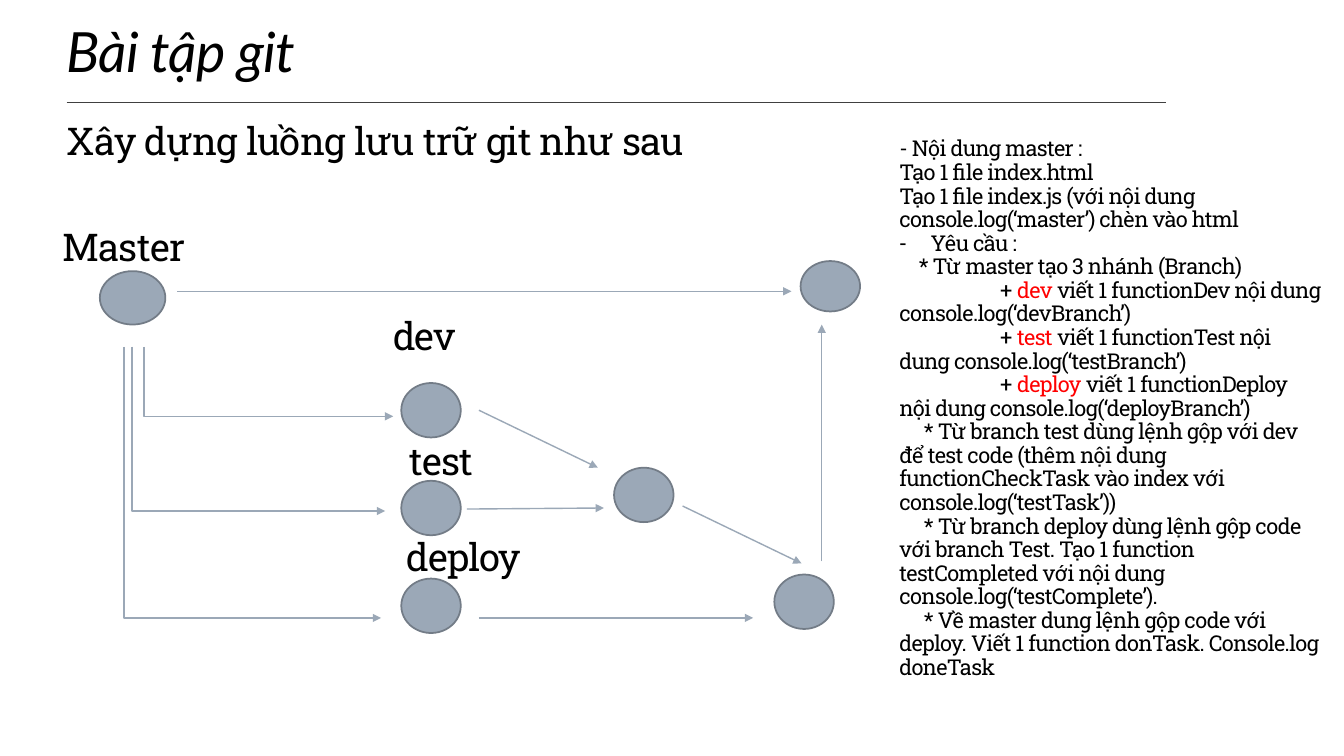
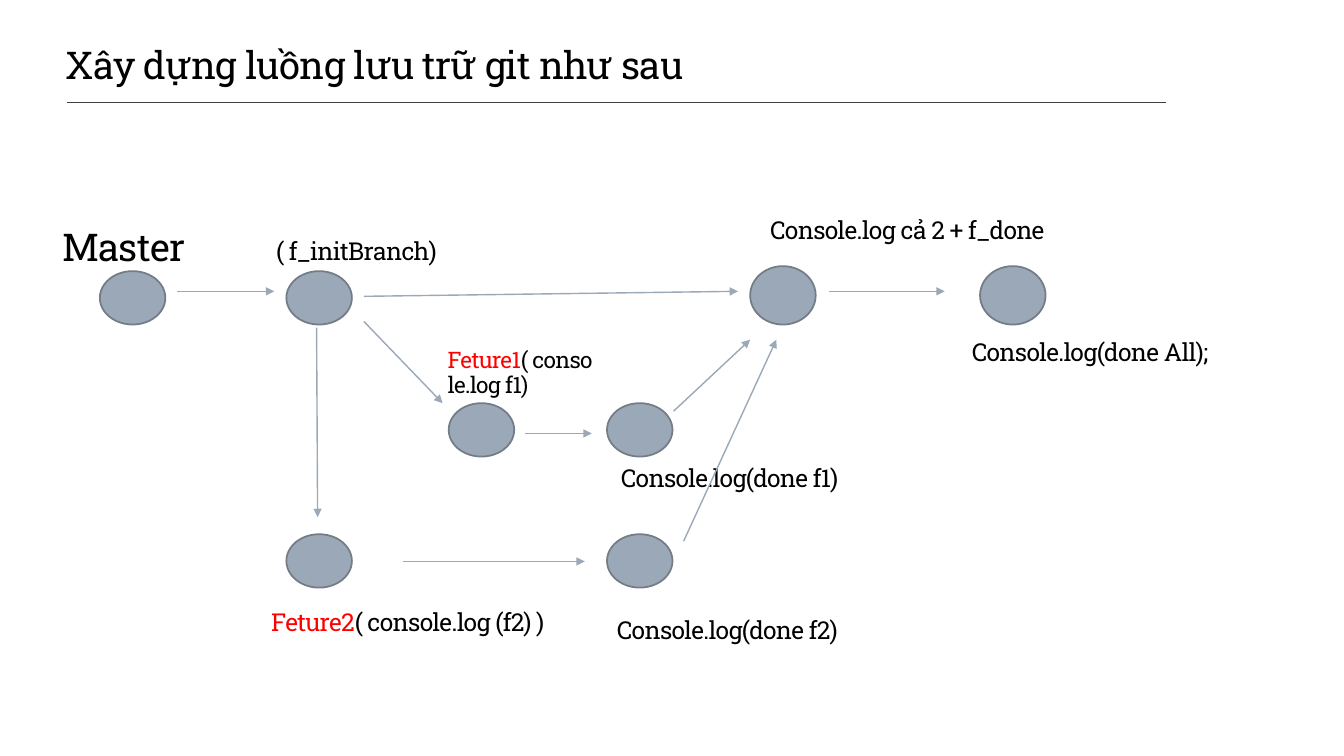
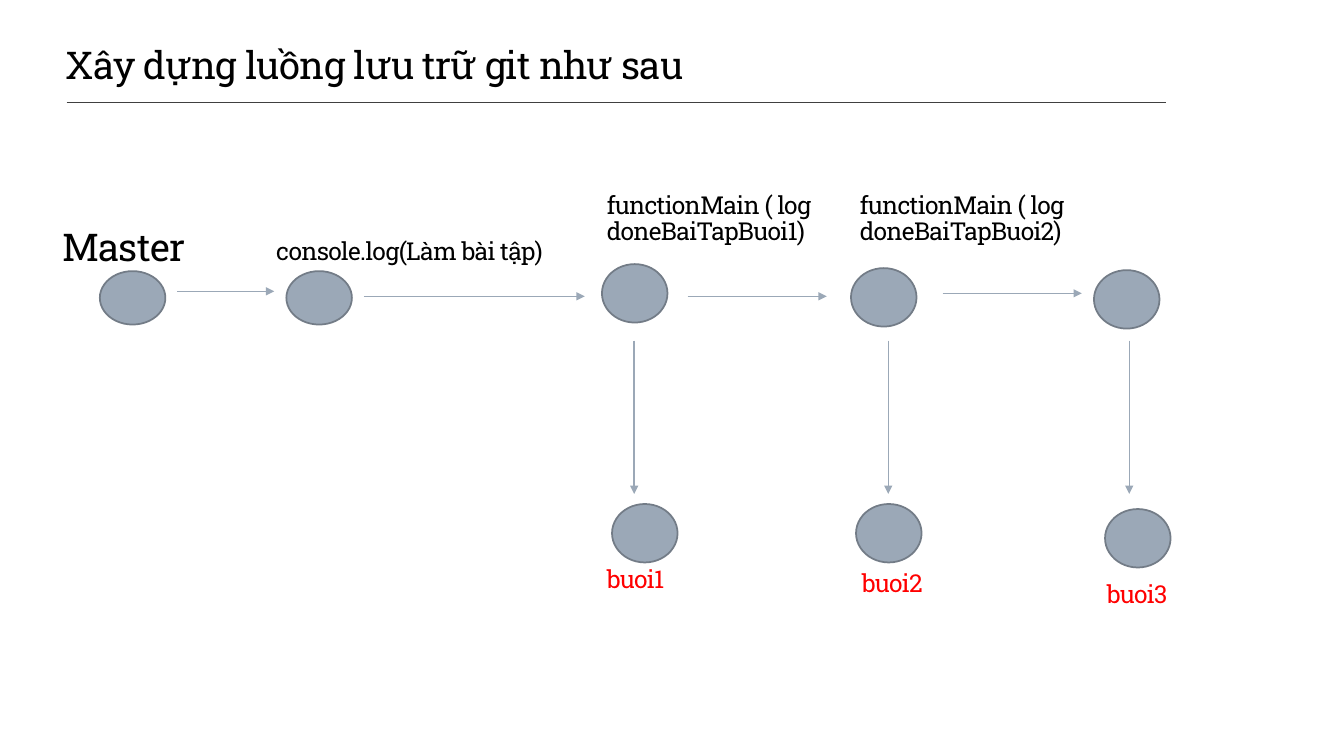
from lxml.etree import SubElement as Sub
from pptx import Presentation
from pptx.dml.color import RGBColor as RGB
from pptx.enum.shapes import MSO_CONNECTOR as LINK, MSO_SHAPE as SHAPE
from pptx.enum.text import MSO_ANCHOR as ANCHOR, MSO_AUTO_SIZE as FIT, PP_ALIGN as ALIGN
from pptx.oxml.ns import qn
from pptx.util import Inches, Pt

INK = {name: RGB.from_string(code) for name, code in {
    "text": "000000", "mark": "FF0000", "rule": "404040",
    "node": "9BA8B7", "edge": "737C87"}.items()}
SLAB, SANS = "Roboto Slab", "Lato"
BIG, MID, LOW = 27.3, 17.6, 15.6

prs = Presentation()
prs.slide_width, prs.slide_height = Inches(13.33), Inches(7.5)
CELL = prs.slide_height // 75  # square grid cells, 75 rows high


def write(box, at, texts, size, font=SLAB, slant=False, anchor=ANCHOR.BOTTOM):
    """Place a box and fill it; parts between bars are marked in red."""
    box.left, box.top, box.width, box.height = [int(n * CELL) for n in at]
    frame = box.text_frame
    frame.word_wrap, frame.auto_size = True, FIT.NONE
    frame.vertical_anchor = anchor
    for i, text in enumerate(texts):
        par = frame.add_paragraph() if i else frame.paragraphs[0]
        par.alignment, par.line_spacing = ALIGN.LEFT, 0.9
        par.space_before = Pt(0)
        par.font.size, par.font.name, par.font.italic = Pt(size), font, slant
        par.font.color.rgb = INK["text"]
        par._p.pPr.find(qn("a:defRPr")).set("spc", "-50")
        for k, part in enumerate(text.split("|")):
            if part:
                run = par.add_run()
                run.text = part
                if k % 2:
                    run.font.color.rgb = INK["mark"]


def link(page, ends, kind=LINK.STRAIGHT, ink="node", head=True):
    """Draw a line; an elbow runs down first, then across."""
    line = page.shapes.add_connector(kind, *[int(n * CELL) for n in ends])
    line.line.color.rgb, line.line.width = INK[ink], Pt(1)
    prop = line._element.spPr
    Sub(prop, qn("a:effectLst"))
    if head:
        Sub(prop.find(qn("a:ln")), qn("a:tailEnd"), type="triangle")
    if kind == LINK.ELBOW:
        Sub(prop.find(".//" + qn("a:avLst")), qn("a:gd"), name="adj1", fmla="val 0")
    return line


# Content: nodes are grouped by size, labels are (x, y, width, size, text)
TASK = "Xây dựng luồng lưu trữ git như sau"
HEAD = dict(at=(5.5, 2, 104.9, 7.2), texts=[TASK], size=BIG)
drops = [62.9, 88.1, 112]

decks = [
    dict(
        layout=1,
        title=dict(at=(5.6, 1.7, 104.9, 7.2), texts=["Bài tập git"],
                   size=39.6, font=SANS, slant=True),
        nodes={(5.9, 5.4): [(39.8, 38), (39.8, 47.7), (39.8, 57.4),
                            (60.9, 46.4), (76.8, 57)],
               (5.9, 5): [(79.4, 25.9)]},
        labels=[(5.6, 9.5, 104.9, BIG, TASK),
                (38, 28.9, 15.8, BIG, "dev"),
                (39.6, 41.3, 15.8, BIG, "test"),
                (39.3, 50.8, 15.8, BIG, "deploy")],
        elbows=[(14.3, 34.4, 39, 41.3), (13.1, 34.4, 38.2, 50.7),
                (12.3, 34.4, 37.8, 61.3)],
        links=[(47.5, 61.3, 74.7, 61.3), (46.3, 50.5, 59.9, 50.4),
               (47.5, 40.7, 59.3, 46.4), (67.7, 50.2, 79.5, 55.9),
               (81.5, 55.7, 81.5, 32.2), (17.6, 28.9, 78.5, 28.9)]),
    dict(
        layout=5, title=HEAD,
        nodes={(6.5, 5.3): [(28.4, 26.9), (44.5, 40), (28.4, 53),
                            (60.2, 53), (60.2, 40)],
               (6.5, 5.8): [(74.4, 26.4), (97.2, 26.4)]},
        labels=[(26.4, 19.7, 32.1, MID, "( f_initBranch)"),
                (25.9, 56.5, 32.1, MID, "|Feture2|( console.log (f2) )"),
                (43.4, 32.8, 16.8, 16.2, "|Feture1|(\u00a0console.log f1)"),
                (60.2, 57.3, 32.1, MID, "Console.log(done f2)"),
                (60.6, 42.2, 32.1, MID, "Console.log(done f1)"),
                (75.4, 17.6, 32.1, MID, "Console.log cả 2 + f_done"),
                (95.4, 29.7, 32.1, MID, "Console.log(done All);")],
        elbows=[],
        links=[(17.6, 28.9, 27.2, 28.9), (31.4, 32.5, 31.5, 51.3),
               (36.1, 31.9, 43.9, 40), (40, 55.7, 58, 55.7),
               (52.1, 43, 58.7, 43), (36.1, 29.4, 73.2, 28.9),
               (67.8, 53.7, 77, 33.7), (66.8, 40.8, 74.4, 33.7),
               (82.2, 28.9, 93.7, 28.9)]),
    dict(
        layout=5, title=HEAD,
        nodes={(6.5, 5.3): [(28.4, 26.9)],
               (6.5, 5.8): [(59.7, 26.2), (60.7, 50), (84.4, 26.6),
                            (84.9, 50), (108.5, 26.8), (109.6, 50.5)]},
        labels=[(26.4, 19.7, 32.1, MID, "console.log(Làm bài tập)"),
                (59.2, 17.7, 32.1, MID, "functionMain ( log doneBaiTapBuoi1)"),
                (84.3, 17.7, 32.1, MID, "functionMain ( log doneBaiTapBuoi2)"),
                (59.2, 52.2, 20, MID, "|buoi1"),
                (84.5, 52.6, 20, MID, "|buoi2"),
                (108.8, 53.7, 20, MID, "|buoi3")],
        elbows=[],
        links=[(17.6, 28.9, 27.2, 28.9), (36.1, 29.4, 58, 29.4),
               (68.2, 29.4, 82, 29.4), (93.5, 29.1, 107.3, 29.1)]
        + [(x, 33.8, x, 49) for x in drops]),
]

# Text of the exercise: (left margin, first-line indent, text)
steps = [
    (0, 0, "- Nội dung master :"),
    (0, 0, "Tạo 1 file index.html"),
    (0, 0, "Tạo 1 file index.js (với nội dung console.log(‘master’) chèn vào html"),
    (3.1, -3.1, "Yêu cầu :"),
    (0, 1.9, "* Từ master tạo 3 nhánh (Branch)"),
    (0, 10, "+ |dev| viết 1 functionDev nội dung console.log(‘devBranch’)"),
    (0, 10, "+ |test| viết 1 functionTest nội dung console.log(‘testBranch’)"),
    (0, 10, "+ |deploy| viết 1 functionDeploy nội dung console.log(‘deployBranch’)"),
    (0, 2.4, "* Từ branch test dùng lệnh gộp với dev để test code (thêm nội dung "
             "functionCheckTask vào index với console.log(‘testTask’))"),
    (0, 2.4, "* Từ branch deploy dùng lệnh gộp code với branch Test. Tạo 1 function "
             "testCompleted với nội dung console.log(‘testComplete’)."),
    (0, 2.4, "* Về master dung lệnh gộp code với deploy. Viết 1 function donTask. "
             "Console.log doneTask"),
]

# Build the slides
for deck in decks:
    page = prs.slides.add_slide(prs.slide_layouts[deck["layout"]])
    write(page.shapes.title, **deck["title"])

    # Nodes, with the master node first
    spots = [(9.9, 26.9, 6.5, 5.3)]
    spots += [spot + size for size, group in deck["nodes"].items() for spot in group]
    for spot in spots:
        node = page.shapes.add_shape(SHAPE.OVAL, *[int(n * CELL) for n in spot])
        node.shadow.inherit = False
        node.fill.solid()
        node.fill.fore_color.rgb = INK["node"]
        node.line.color.rgb, node.line.width = INK["edge"], Pt(1.25)

    # Labels
    for x, y, wide, size, text in [(5.2, 20.1, 15.8, BIG, "Master")] + deck["labels"]:
        write(page.shapes.add_textbox(0, 0, 0, 0), (x, y, wide, 7.2), [text], size)

    # Arrows
    for ends in deck["elbows"]:
        link(page, ends, LINK.ELBOW)
    for ends in deck["links"]:
        link(page, ends)

# Exercise list on the first slide
first = prs.slides[0]
body = first.placeholders[1]
write(body, (88.2, 13.2, 44, 59.5), [text for _, _, text in steps], LOW,
      anchor=ANCHOR.TOP)
for par, (left, dent, _) in zip(body.text_frame.paragraphs, steps):
    prop = par._p.pPr
    prop.set("marL", str(int(left * CELL)))
    prop.set("indent", str(int(dent * CELL)))
    dot = Sub(prop, qn("a:buChar"), char="-") if left else Sub(prop, qn("a:buNone"))
    prop.find(qn("a:defRPr")).addprevious(dot)

# Rule under the title, shared through the master
rule = link(first, (6.6, 10.2, 115.6, 10.2), ink="rule", head=False)
prs.slide_master.shapes.element.append(rule._element)

prs.save("out.pptx")
